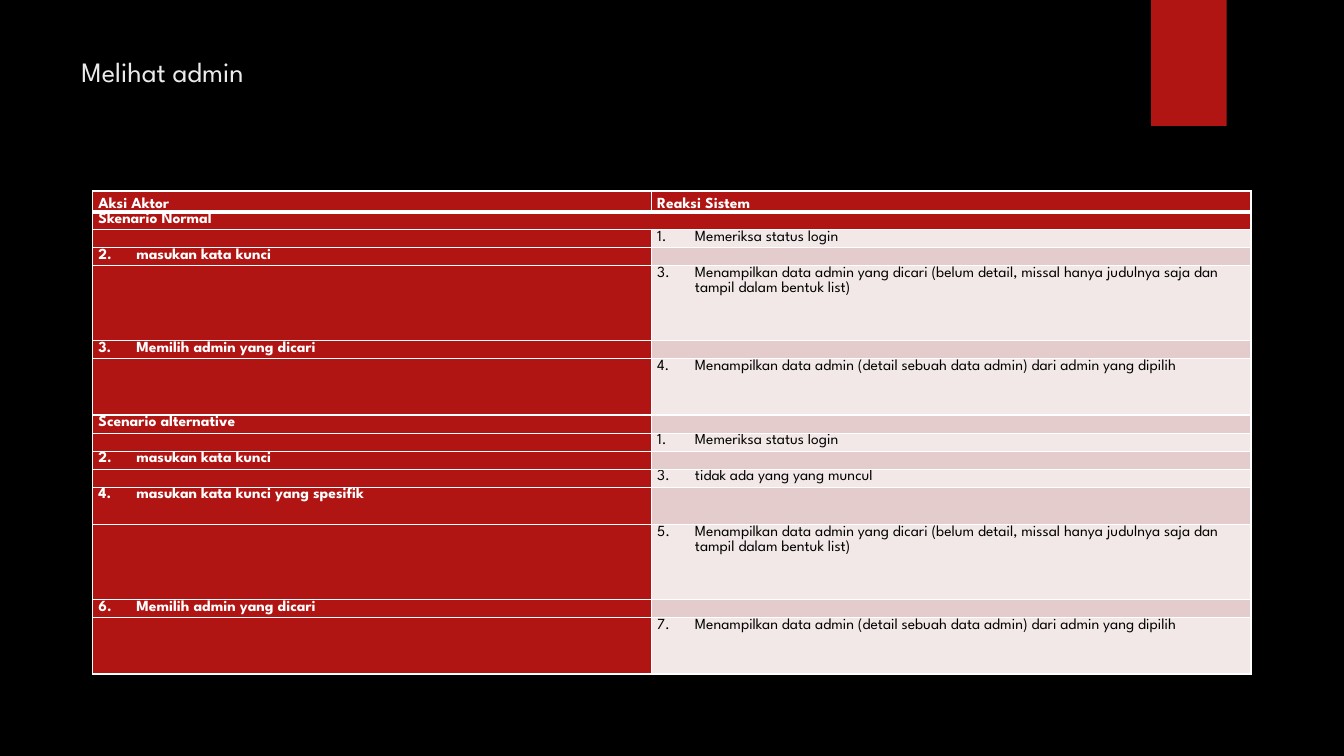
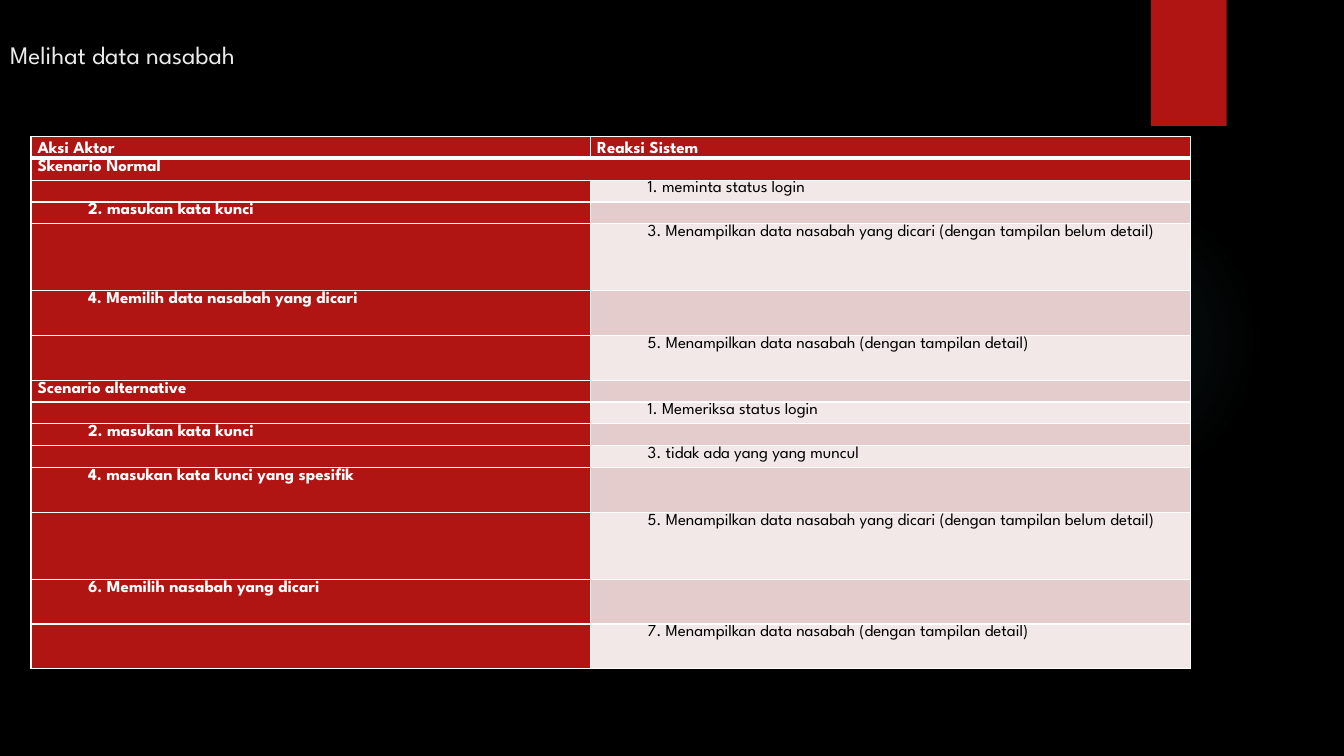
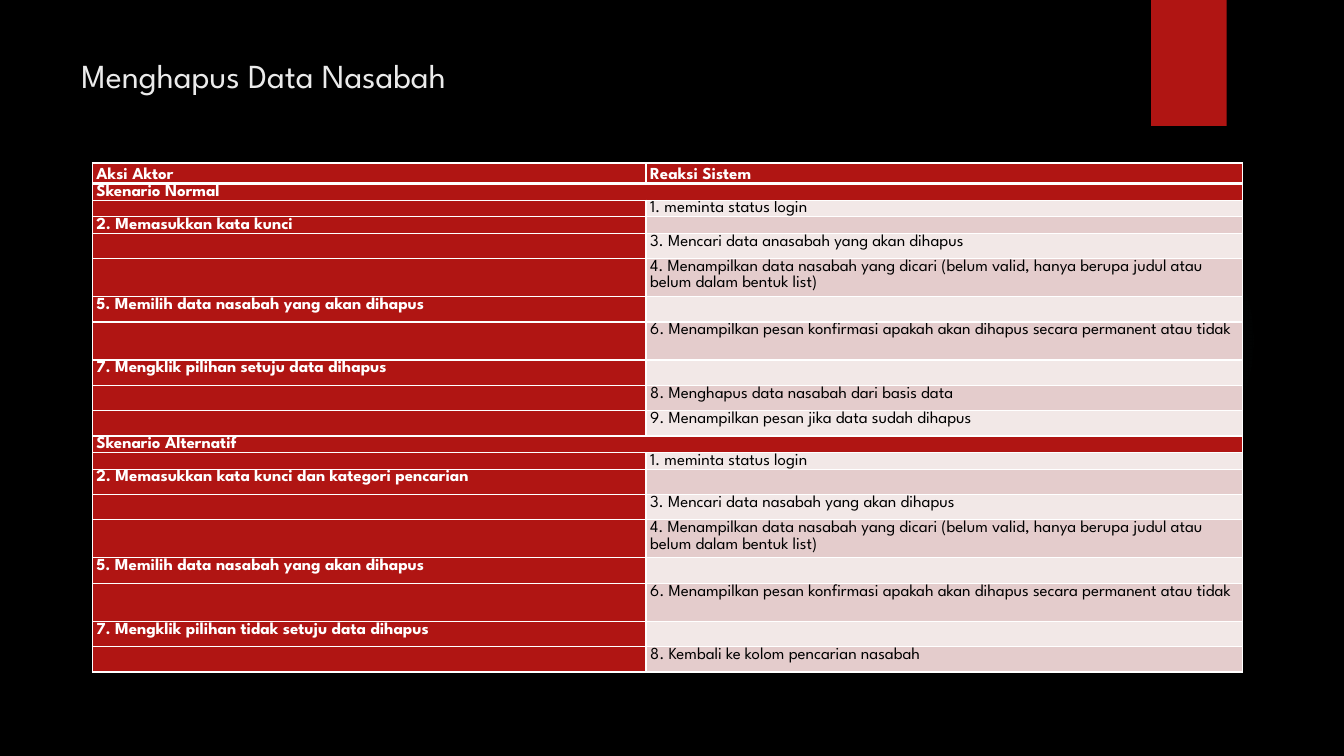
from lxml import etree
from pptx import Presentation
from pptx import util as u
from pptx.dml.color import RGBColor
from pptx.enum import shapes, text
from pptx.oxml import parse_xml
from pptx.oxml.ns import nsdecls, qn

FONT = "League Spartan"
RED, WHITE, BLACK, GLOW = "B01513", "FFFFFF", "000000", "50B9C1"
BANDS = ["F2E8E7", "E4CCCC"]
HEADER = (1, "Aksi Aktor", "Reaksi Sistem")
NORMAL = (1, "Skenario Normal", None)

presentation = Presentation()
presentation.slide_width = u.Inches(13.33)
presentation.slide_height = u.Inches(7.5)
CELL = presentation.slide_height / 90


def grid(*counts):
    return [round(count * CELL) for count in counts]


def paint(fill, color):
    fill.solid()
    fill.fore_color.rgb = RGBColor.from_string(color)


admin_list = "Menampilkan data admin yang dicari (belum detail, missal hanya judulnya saja dan tampil dalam bentuk list)"
admin_detail = "Menampilkan data admin (detail sebuah data admin) dari admin yang dipilih"
customer_list = "Menampilkan data nasabah yang dicari (dengan tampilan belum detail)"
customer_detail = "5. Menampilkan data nasabah (dengan tampilan detail)"
delete_list = "4. Menampilkan data nasabah yang dicari (belum valid, hanya berupa judul atau belum dalam bentuk list)"
delete_choice = "5. Memilih data nasabah yang akan dihapus"
delete_confirm = "6. Menampilkan pesan konfirmasi apakah akan dihapus secara permanent atau tidak"

pages = [
    dict(
        title="Melihat admin", title_size=20, title_at=(8.5, 5.9, 123.5, 18.4),
        table_at=(11, 22.75), columns=(66.5, 71.4), single=2.15, line=2.23, size=11,
        insets=(0.72, 0.84), indent=4.5, numbered=True,
        rows=[
            HEADER,
            NORMAL,
            (1, "", "1. Memeriksa status login"),
            (1, "2. masukan kata kunci", ""),
            (4, "", "3. " + admin_list),
            (1, "3. Memilih admin yang dicari", ""),
            (3, "", "4. " + admin_detail),
            (1, "Scenario alternative", ""),
            (1, "", "1. Memeriksa status login"),
            (1, "2. masukan kata kunci", ""),
            (1, "", "3. tidak ada yang yang muncul"),
            (2, "4. masukan kata kunci yang spesifik", ""),
            (4, "", "5. " + admin_list),
            (1, "6. Memilih admin yang dicari", ""),
            (3, "", "7. " + admin_detail),
        ],
    ),
    dict(
        title="Melihat data nasabah", title_size=18, title_at=(0, 4.1, 126.1, 14.2),
        table_at=(3.7, 16.25), columns=(66.6, 71.4), single=2.6, line=2.66, size=12,
        insets=(0.78, 0.78), indent=6, numbered=False,
        rows=[
            HEADER,
            NORMAL,
            (1, "", "1. meminta status login"),
            (1, "2. masukan kata kunci", ""),
            (3, "", "3. " + customer_list),
            (2, "4. Memilih data nasabah yang dicari", ""),
            (2, "", customer_detail),
            (1, "Scenario alternative", ""),
            (1, "", "1. Memeriksa status login"),
            (1, "2. masukan kata kunci", ""),
            (1, "", "3. tidak ada yang yang muncul"),
            (2, "4. masukan kata kunci yang spesifik", ""),
            (3, "", "5. " + customer_list),
            (2, "6. Memilih nasabah yang dicari", ""),
            (2, "", customer_detail.replace("5.", "7.")),
        ],
    ),
    dict(
        title="Menghapus Data Nasabah", title_size=24, title_at=(8.5, 5.9, 123.5, 18.4),
        table_at=(11, 19.4), columns=(65.9, 71), single=1.5, line=1.51, size=12,
        insets=(0.48, 0.6), indent=0, numbered=False,
        rows=[
            HEADER,
            NORMAL,
            (1, "", "1. meminta status login"),
            (1, "2. Memasukkan kata kunci", ""),
            (2, "", "3. Mencari data anasabah yang akan dihapus"),
            (3, "", delete_list),
            (2, delete_choice, ""),
            (3, "", delete_confirm),
            (2, "7. Mengklik pilihan setuju data dihapus", ""),
            (2, "", "8. Menghapus data nasabah dari basis data"),
            (2, "", "9. Menampilkan pesan jika data sudah dihapus"),
            (1, "Skenario Alternatif", None),
            (1, "", "1. meminta status login"),
            (2, "2. Memasukkan kata kunci dan kategori pencarian", ""),
            (2, "", "3. Mencari data nasabah yang akan dihapus"),
            (3, "", delete_list),
            (2, delete_choice, ""),
            (3, "", delete_confirm),
            (2, "7. Mengklik pilihan tidak setuju data dihapus", ""),
            (2, "", "8. Kembali ke kolom pencarian nasabah"),
        ],
    ),
]

layout = presentation.slide_layouts[5]
paint(layout.background.fill, BLACK)
slides = [presentation.slides.add_slide(layout) for page in pages]

glow = slides[0].shapes.add_shape(shapes.MSO_SHAPE.OVAL, *grid(112.9, 22, 37, 37))
ribbon = slides[0].shapes.add_shape(shapes.MSO_SHAPE.RECTANGLE, *grid(137, 0, 9, 15))
paint(ribbon.fill, RED)
for position, shape in enumerate([glow, ribbon]):
    shape.line.fill.background()
    shape.shadow.inherit = False
    layout.shapes.element.insert(2 + position, shape.element)

stops = "".join(
    f'<a:gs pos="{stop * 1000}"><a:srgbClr val="{GLOW}"><a:alpha val="{alpha * 1000}"/></a:srgbClr></a:gs>'
    for stop, alpha in [(0, 7), (36, 6), (69, 0)]
)
glow.element.spPr.insert(2, parse_xml(
    f'<a:gradFill {nsdecls("a")}><a:gsLst>{stops}</a:gsLst><a:path path="circle">'
    '<a:fillToRect l="50000" t="50000" r="50000" b="50000"/></a:path></a:gradFill>'
))
ribbon.element.spPr.find(qn("a:effectLst")).append(parse_xml(
    f'<a:outerShdw {nsdecls("a")} blurRad="{u.Pt(3)}" dist="{u.Pt(2)}" dir="5400000">'
    f'<a:srgbClr val="{BLACK}"><a:alpha val="45000"/></a:srgbClr></a:outerShdw>'
))

for slide, page in zip(slides, pages):
    title = slide.shapes.title
    title.left, title.top, title.width, title.height = grid(*page["title_at"])
    frame = title.text_frame
    frame.text = page["title"]
    frame.word_wrap = True
    frame.auto_size = text.MSO_AUTO_SIZE.NONE
    frame.vertical_anchor = text.MSO_ANCHOR.TOP
    paragraph = frame.paragraphs[0]
    paragraph.alignment = text.PP_ALIGN.LEFT
    font = paragraph.runs[0].font
    font.name, font.size = FONT, u.Pt(page["title_size"])
    paint(font.fill, "EBEBEB")

    rows = page["rows"]
    heights = [page["single"] if row[0] == 1 else row[0] * page["line"] for row in rows]
    table = slide.shapes.add_table(
        len(rows), 2, *grid(*page["table_at"], sum(page["columns"]), sum(heights))
    ).table
    for column, width in zip(table.columns, grid(*page["columns"])):
        column.width = width
    for row, height in zip(table.rows, grid(*heights)):
        row.height = height

    for row_number, (lines, *entries) in enumerate(rows):
        if entries[1] is None:
            table.cell(row_number, 0).merge(table.cell(row_number, 1))
        for column_number, entry in enumerate(entries):
            cell = table.cell(row_number, column_number)
            emphasised = row_number == 0 or column_number == 0
            paint(cell.fill, RED if emphasised or entry is None else BANDS[row_number % 2])
            cell.margin_left, cell.margin_right = grid(*page["insets"])
            cell.margin_top = cell.margin_bottom = 0
            weights = {"lnL": 1, "lnR": 1, "lnT": 3 if row_number == 1 else 1, "lnB": 3 if row_number == 0 else 1}
            for order, (edge, weight) in enumerate(weights.items()):
                cell._tc.tcPr.insert(order, parse_xml(
                    f'<a:{edge} {nsdecls("a")} w="{u.Pt(weight)}"><a:solidFill>'
                    f'<a:srgbClr val="{WHITE}"/></a:solidFill></a:{edge}>'
                ))

            paragraph = cell.text_frame.paragraphs[0]
            if not entry:
                ending = etree.SubElement(paragraph._p, qn("a:endParaRPr"), sz=str(page["size"] * 100))
                etree.SubElement(ending, qn("a:latin"), typeface=FONT)
                continue
            paragraph.line_spacing = u.Pt(14.7) if row_number == 0 else 1.07
            if entry[0].isdigit():
                properties = paragraph._p.get_or_add_pPr()
                indent = grid(page["indent"])[0]
                properties.set("marL", str(indent))
                if page["numbered"]:
                    number, entry = entry.split(". ", 1)
                    properties.set("indent", str(-indent))
                    etree.SubElement(properties, qn("a:buAutoNum"), type="arabicPeriod", startAt=number)
            paragraph.add_run().text = entry
            font = paragraph.runs[0].font
            font.name, font.size, font.bold = FONT, u.Pt(page["size"]), emphasised
            paint(font.fill, WHITE if emphasised else BLACK)

presentation.save("out.pptx")
